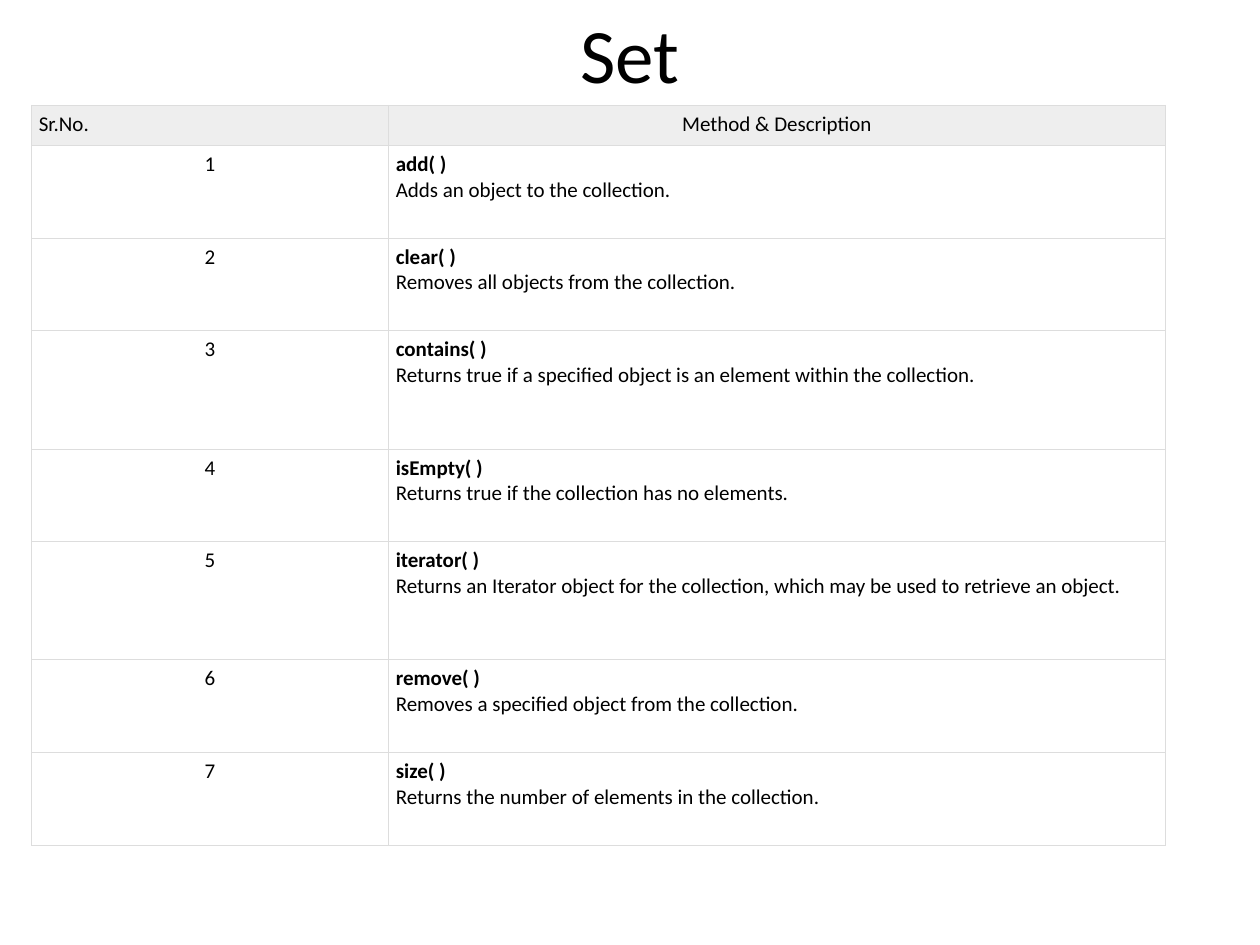
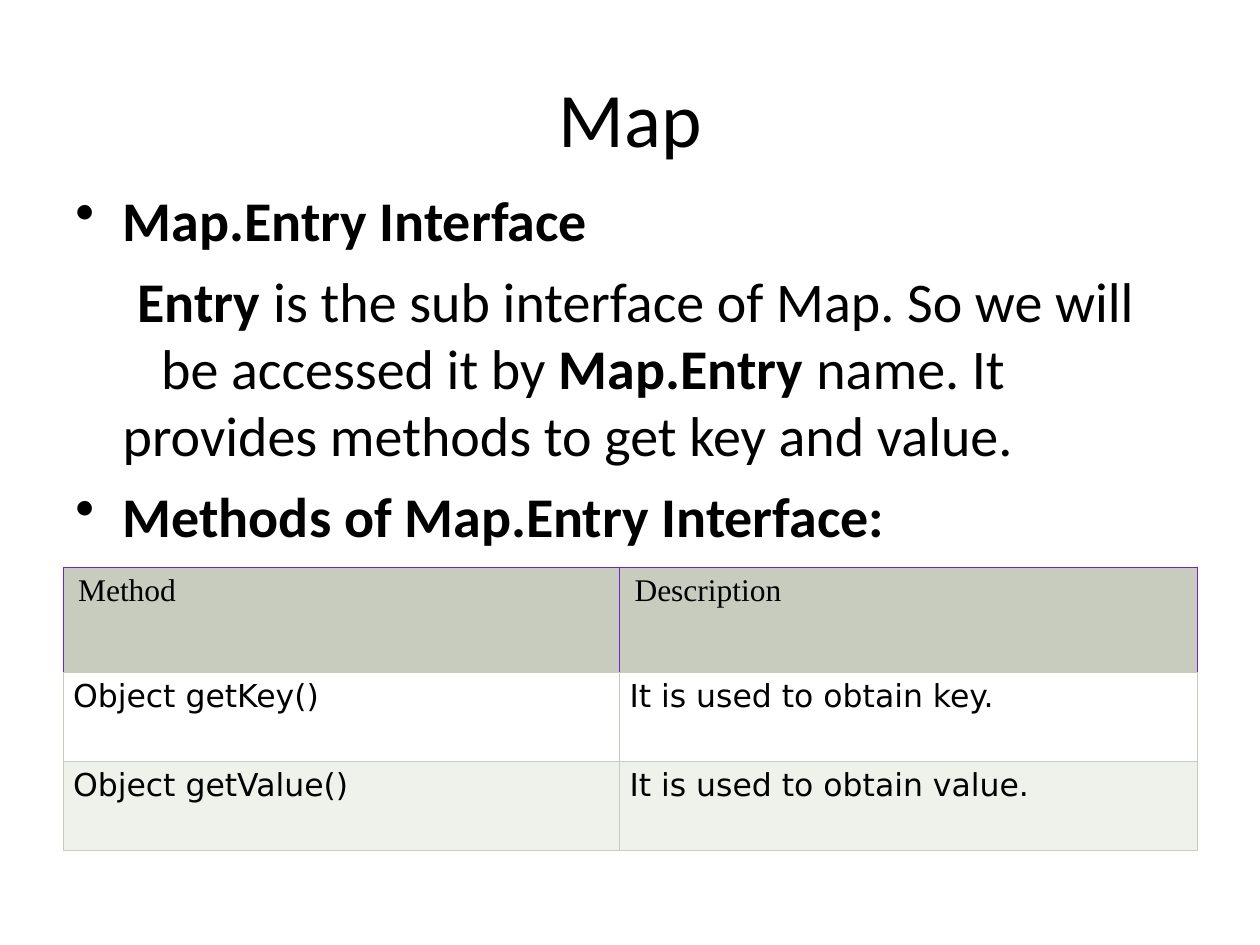
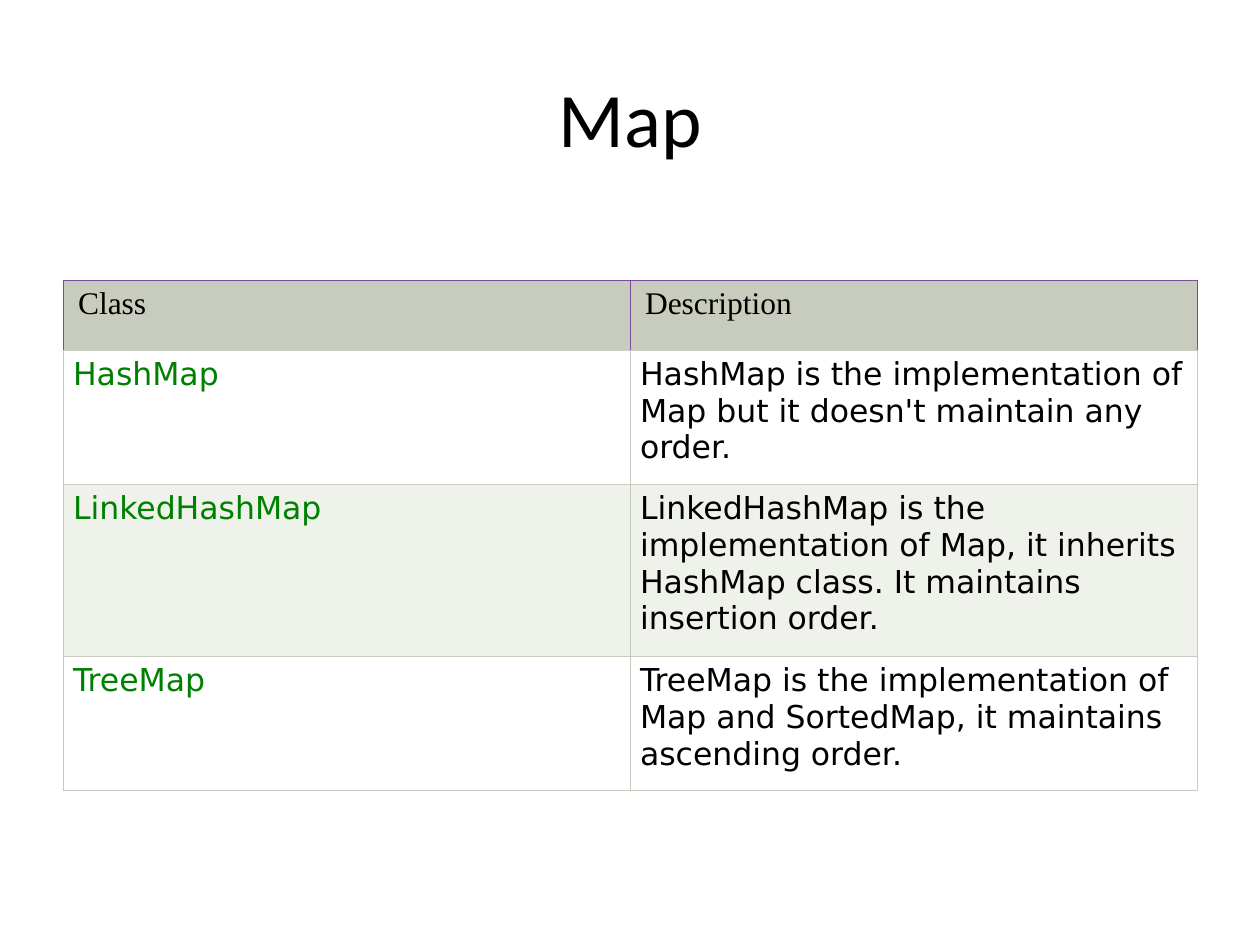
from dataclasses import dataclass

from lxml import etree
from pptx import Presentation
from pptx.dml.color import RGBColor
from pptx.enum.text import MSO_ANCHOR, PP_ALIGN
from pptx.oxml.ns import qn
from pptx.util import Pt

LEFT, CENTER, JUSTIFY = PP_ALIGN.LEFT, PP_ALIGN.CENTER, PP_ALIGN.JUSTIFY
MIDDLE = MSO_ANCHOR.MIDDLE


@dataclass(frozen=True)
class Theme:
    black: str = "000000"
    white: str = "FFFFFF"
    class_green: str = "008000"
    method_border: str = "DDDDDD"
    method_header: str = "EEEEEE"
    map_header: str = "C7CCBE"
    map_band: str = "EFF1EB"
    entry_header_border: str = "7024CF"
    class_header_border: str = "804A9C"
    font: str = "Calibri"
    header_font: str = "Times New Roman"
    cell_font: str = "DejaVu Sans"
    title_size: int = 44
    body_size: int = 32
    map_table_size: int = 18
    method_table_size: int = 12
    border_width: float = 0.34
    body_indent: int = 27
    body_space: int = 8


THEME = Theme()

SET_METHODS = [
    ("add( )", "Adds an object to the collection."),
    ("clear( )", "Removes all objects from the collection."),
    ("contains( )", "Returns true if a specified object is an element within the collection."),
    ("isEmpty( )", "Returns true if the collection has no elements."),
    ("iterator( )", "Returns an Iterator object for the collection, "
                    "which may be used to retrieve an object."),
    ("remove( )", "Removes a specified object from the collection."),
    ("size( )", "Returns the number of elements in the collection."),
]
ENTRY_METHODS = [
    ("Object getKey()", "It is used to obtain key."),
    ("Object getValue()", "It is used to obtain value."),
]
MAP_CLASSES = [
    ("HashMap", "HashMap is the implementation of Map but it doesn't maintain any order."),
    ("LinkedHashMap", "LinkedHashMap is the implementation of Map, it inherits HashMap class. "
                      "It maintains insertion order."),
    ("TreeMap", "TreeMap is the implementation of Map and SortedMap, "
                "it maintains ascending order."),
]


def add_run(paragraph, text, size, font=THEME.font, color=THEME.black, bold=False):
    run = paragraph.add_run()
    run.text = text
    run.font.size = Pt(size)
    run.font.name = font
    run.font.bold = bold
    run.font.color.rgb = RGBColor.from_string(color)


def next_paragraph(text_frame, index):
    return text_frame.add_paragraph() if index else text_frame.paragraphs[0]


def add_text_frame(slide, left, top, width, height):
    shape = slide.shapes.add_textbox(Pt(left), Pt(top), Pt(width), Pt(height))
    shape.text_frame.word_wrap = True
    return shape.text_frame


def add_title_slide(presentation, title, top=21.6, height=90):
    slide = presentation.slides.add_slide(presentation.slide_layouts[6])
    text_frame = add_text_frame(slide, 36, top, 648, height)
    text_frame.vertical_anchor = MIDDLE
    paragraph = text_frame.paragraphs[0]
    paragraph.alignment = CENTER
    add_run(paragraph, title, THEME.title_size)
    return slide


def add_color(parent, tag, color):
    element = etree.SubElement(parent, qn(tag))
    etree.SubElement(element, qn("a:srgbClr"), val=color)


def set_indent(paragraph, first_line, bullet):
    properties = paragraph._p.get_or_add_pPr()
    properties.set("marL", str(Pt(THEME.body_indent)))
    properties.set("indent", str(Pt(first_line)))
    if bullet:
        add_color(properties, "a:buClr", THEME.black)
        etree.SubElement(properties, qn("a:buChar"), char="•")


def add_body(slide, paragraphs):
    text_frame = add_text_frame(slide, 36, 102.2, 648, 408)
    for index, (first_line, bullet, space, runs) in enumerate(paragraphs):
        paragraph = next_paragraph(text_frame, index)
        paragraph.space_before = Pt(space)
        set_indent(paragraph, first_line, bullet)
        for text, bold in runs:
            add_run(paragraph, text, THEME.body_size, bold=bold)


def set_borders(cell, color, bottom):
    properties = cell._tc.get_or_add_tcPr()
    for side, side_color in zip("LRTB", (color, color, color, bottom)):
        line = etree.SubElement(properties, qn(f"a:ln{side}"), w=str(Pt(THEME.border_width)))
        add_color(line, "a:solidFill", side_color)


def style_cell(cell, inset, fill, border, bottom):
    cell.margin_left = cell.margin_right = Pt(inset)
    cell.margin_top = cell.margin_bottom = Pt(3.6)
    set_borders(cell, border, bottom)
    if fill:
        cell.fill.solid()
        cell.fill.fore_color.rgb = RGBColor.from_string(fill)
    else:
        cell.fill.background()


def fill_cell(cell, lines, alignment, size, **run_style):
    for index, (text, bold) in enumerate(lines):
        paragraph = next_paragraph(cell.text_frame, index)
        paragraph.alignment = alignment
        add_run(paragraph, text, size, bold=bold, **run_style)


def add_plain_table(slide, left, top, widths, heights):
    table = slide.shapes.add_table(
        len(heights), len(widths), Pt(left), Pt(top), Pt(sum(widths)), Pt(sum(heights))
    ).table
    table.first_row = False
    table.horz_banding = False
    for column, width in zip(table.columns, widths):
        column.width = Pt(width)
    for row, height in zip(table.rows, heights):
        row.height = Pt(height)
    return table


def add_method_table(slide):
    heights = [23] + [67.5 if name in ("contains( )", "iterator( )") else 53
                      for name, _ in SET_METHODS]
    table = add_plain_table(slide, 18, 60, (204, 444), heights)
    rows = [(([("Sr.No.", False)], LEFT), ([("Method & Description", False)], CENTER))]
    for number, (name, description) in enumerate(SET_METHODS, 1):
        rows.append((([(str(number), False)], CENTER),
                     ([(name, True), (description, False)], JUSTIFY)))
    for row_index, row in enumerate(rows):
        fill = None if row_index else THEME.method_header
        for column_index, (lines, alignment) in enumerate(row):
            cell = table.cell(row_index, column_index)
            style_cell(cell, 4.2, fill, THEME.method_border, THEME.method_border)
            fill_cell(cell, lines, alignment, THEME.method_table_size)


def add_map_table(slide, top, widths, heights, header, records, header_border,
                  name_color=THEME.black):
    table = add_plain_table(slide, 36, top, widths, heights)
    for row_index, record in enumerate([header] + records):
        is_header = row_index == 0
        if is_header:
            inset, fill, border = 8.64, THEME.map_header, header_border
        else:
            inset, border = 5.76, THEME.map_header
            fill = THEME.white if row_index % 2 else THEME.map_band
        for column_index, text in enumerate(record):
            is_name = column_index == 0 and not is_header
            cell = table.cell(row_index, column_index)
            style_cell(cell, inset, fill, border, THEME.map_header)
            fill_cell(cell, [(text, False)], LEFT, THEME.map_table_size,
                      font=THEME.header_font if is_header else THEME.cell_font,
                      color=name_color if is_name else THEME.black)


def build_set_slide(presentation):
    slide = add_title_slide(presentation, "Set", top=6, height=48)
    add_method_table(slide)


def build_entry_slide(presentation):
    slide = add_title_slide(presentation, "Map")
    hanging, space = -THEME.body_indent, THEME.body_space
    add_body(slide, [
        (hanging, True, space, [("Map.Entry Interface", True)]),
        (8.5, False, space, [("Entry", True),
                             (" is the sub interface of Map. So we will", False)]),
        (22, False, 0, [("be accessed it by ", False), ("Map.Entry", True),
                        (" name. It provides methods to get key and value.", False)]),
        (hanging, True, space, [("Methods of Map.Entry Interface:", True)]),
    ])
    add_map_table(slide, 324, (318, 330), (60, 51, 51), ("Method", "Description"),
                  ENTRY_METHODS, THEME.entry_header_border)


def build_class_slide(presentation):
    slide = add_title_slide(presentation, "Map")
    add_map_table(slide, 160.2, (324, 324), (40, 76.7, 98.3, 76.7), ("Class", "Description"),
                  MAP_CLASSES, THEME.class_header_border, THEME.class_green)


def main():
    presentation = Presentation()
    presentation.slide_width = Pt(720)
    presentation.slide_height = Pt(540)
    build_set_slide(presentation)
    build_entry_slide(presentation)
    build_class_slide(presentation)
    presentation.save("out.pptx")


if __name__ == "__main__":
    main()
